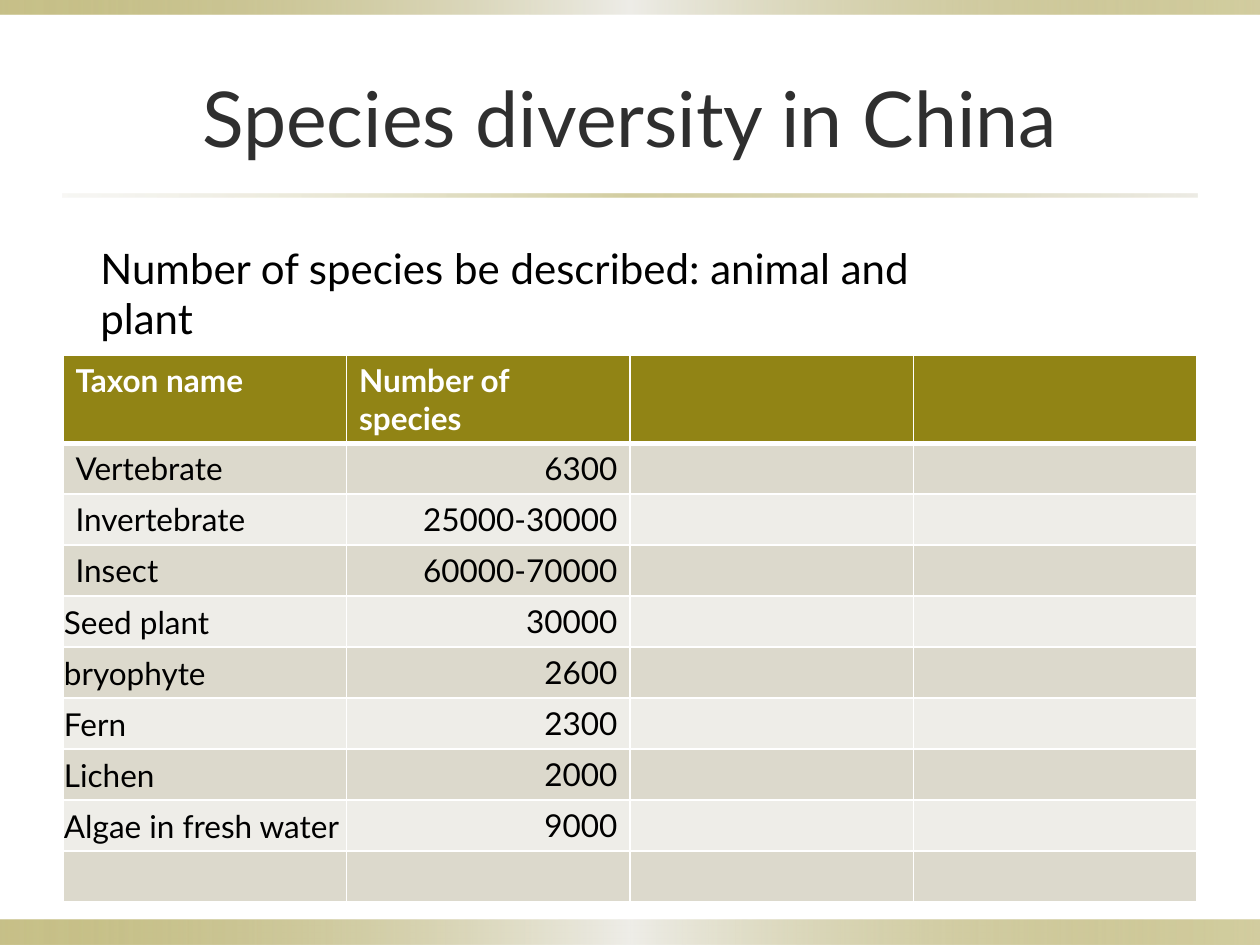
from lxml import etree
from pptx import Presentation
from pptx.dml.color import RGBColor
from pptx.enum.shapes import MSO_SHAPE as SHAPE
from pptx.enum.text import MSO_ANCHOR as ANCHOR, PP_ALIGN as ALIGN
from pptx.oxml import parse_xml
from pptx.oxml.ns import nsdecls, qn
from pptx.util import Pt

EMU_PER_PX = 914400 / 126
FONT = "Lato"
OLIVE = RGBColor(0x91, 0x84, 0x15)
SAND = RGBColor(0xDC, 0xD9, 0xCC)
PALE = RGBColor(0xEE, 0xED, 0xE8)
WHITE = RGBColor(0xFF, 0xFF, 0xFF)
BLACK = RGBColor(0x00, 0x00, 0x00)
CHARCOAL = RGBColor(0x2F, 0x2F, 0x2F)

# Gradient stops: position %, colour, opacity %
BAND_STOPS = [(0, OLIVE, 50), (50, PALE, 100), (100, OLIVE, 40)]
RULE_STOPS = [(0, SAND, 20), (50, OLIVE, 40), (100, SAND, 50)]

HEADER = ["Taxon name", "Number of species", "", ""]
TAXA = [
    ("Vertebrate", "6300"),
    ("Invertebrate", "25000-30000"),
    ("Insect", "60000-70000"),
    ("Seed plant", "30000"),
    ("bryophyte", "2600"),
    ("Fern", "2300"),
    ("Lichen", "2000"),
    ("Algae in fresh water", "9000"),
    ("", ""),
]
TIGHT_TAXA = {"Seed plant", "bryophyte", "Fern", "Lichen", "Algae in fresh water"}


def px(n):
    return round(n * EMU_PER_PX)


def write(tf, text, size=18, color=BLACK, bold=False, align=ALIGN.LEFT):
    p = tf.paragraphs[0]
    p.alignment = align
    p.font.size = Pt(size)
    if text:
        r = p.add_run()
        r.text = text
        r.font.name = FONT
        r.font.size = Pt(size)
        r.font.bold = bold
        r.font.color.rgb = color


def set_borders(cell, top, bottom):
    """Draw white cell borders; top and bottom widths are in points."""
    tc_pr = cell._tc.get_or_add_tcPr()
    widths = {"lnL": 1, "lnR": 1, "lnT": top, "lnB": bottom}
    for i, (side, width) in enumerate(widths.items()):
        ln = parse_xml(
            f'<a:{side} {nsdecls("a")} w="{Pt(width)}"><a:solidFill>'
            f'<a:srgbClr val="{WHITE}"/></a:solidFill></a:{side}>')
        tc_pr.insert(i, ln)


class SlideBuilder:
    def __init__(self, prs):
        self.s = prs.slides.add_slide(prs.slide_layouts[6])
        self.s.background.fill.solid()
        self.s.background.fill.fore_color.rgb = WHITE

    def gradient_bar(self, x, y, w, h, stops):
        sp = self.s.shapes.add_shape(SHAPE.RECTANGLE, px(x), px(y), px(w), px(h))
        sp.shadow.inherit = False
        sp.line.fill.background()
        sp.fill.gradient()
        sp.fill.gradient_angle = 0
        gs_list = sp._element.spPr.find(qn("a:gradFill")).find(qn("a:gsLst"))
        for gs in list(gs_list):
            gs_list.remove(gs)
        for pos, color, opacity in stops:
            gs = etree.SubElement(gs_list, qn("a:gs"), pos=str(pos * 1000))
            clr = etree.SubElement(gs, qn("a:srgbClr"), val=str(color))
            etree.SubElement(clr, qn("a:alpha"), val=str(opacity * 1000))

    def text(self, x, y, w, h, text, anchor=ANCHOR.TOP, **style):
        tf = self.s.shapes.add_textbox(px(x), px(y), px(w), px(h)).text_frame
        tf.word_wrap = True
        tf.vertical_anchor = anchor
        write(tf, text, **style)

    def table(self, x, y, w, header, rows, header_h, row_h):
        h = header_h + row_h * len(rows)
        tbl = self.s.shapes.add_table(
            len(rows) + 1, len(header), px(x), px(y), px(w), px(h)).table
        tbl.horz_banding = False
        for i, row in enumerate(tbl.rows):
            row.height = px(row_h if i else header_h)
            values = rows[i - 1] if i else header
            for j, cell in enumerate(row.cells):
                text = values[j] if j < len(values) else ""
                self.cell(cell, i, j, text)

    def cell(self, cell, i, j, text):
        cell.fill.solid()
        cell.fill.fore_color.rgb = (SAND if i % 2 else PALE) if i else OLIVE
        set_borders(cell, top=3 if i == 1 else 1, bottom=1 if i else 3)
        if text in TIGHT_TAXA:
            cell.vertical_anchor = ANCHOR.MIDDLE
            cell.margin_left = cell.margin_top = cell.margin_right = px(1)
            cell.margin_bottom = 0
        write(cell.text_frame, text, color=BLACK if i else WHITE, bold=not i,
              align=ALIGN.RIGHT if i and j else ALIGN.LEFT)


def main():
    prs = Presentation()
    prs.slide_width, prs.slide_height = px(1260), px(945)
    b = SlideBuilder(prs)
    b.gradient_bar(0, 920, 1260, 25, BAND_STOPS)
    b.gradient_bar(0, 0, 1260, 15, BAND_STOPS)
    b.gradient_bar(63, 194, 1134, 3, RULE_STOPS)
    b.text(63, 38, 1134, 157, "Species diversity in China", anchor=ANCHOR.MIDDLE,
           size=44, color=CHARCOAL, align=ALIGN.CENTER)
    b.table(63, 355, 1134, HEADER, TAXA, header_h=88, row_h=51)
    b.text(88, 236, 926, 63, "Number of species be described: animal and plant", size=24)
    prs.save("out.pptx")


if __name__ == "__main__":
    main()
